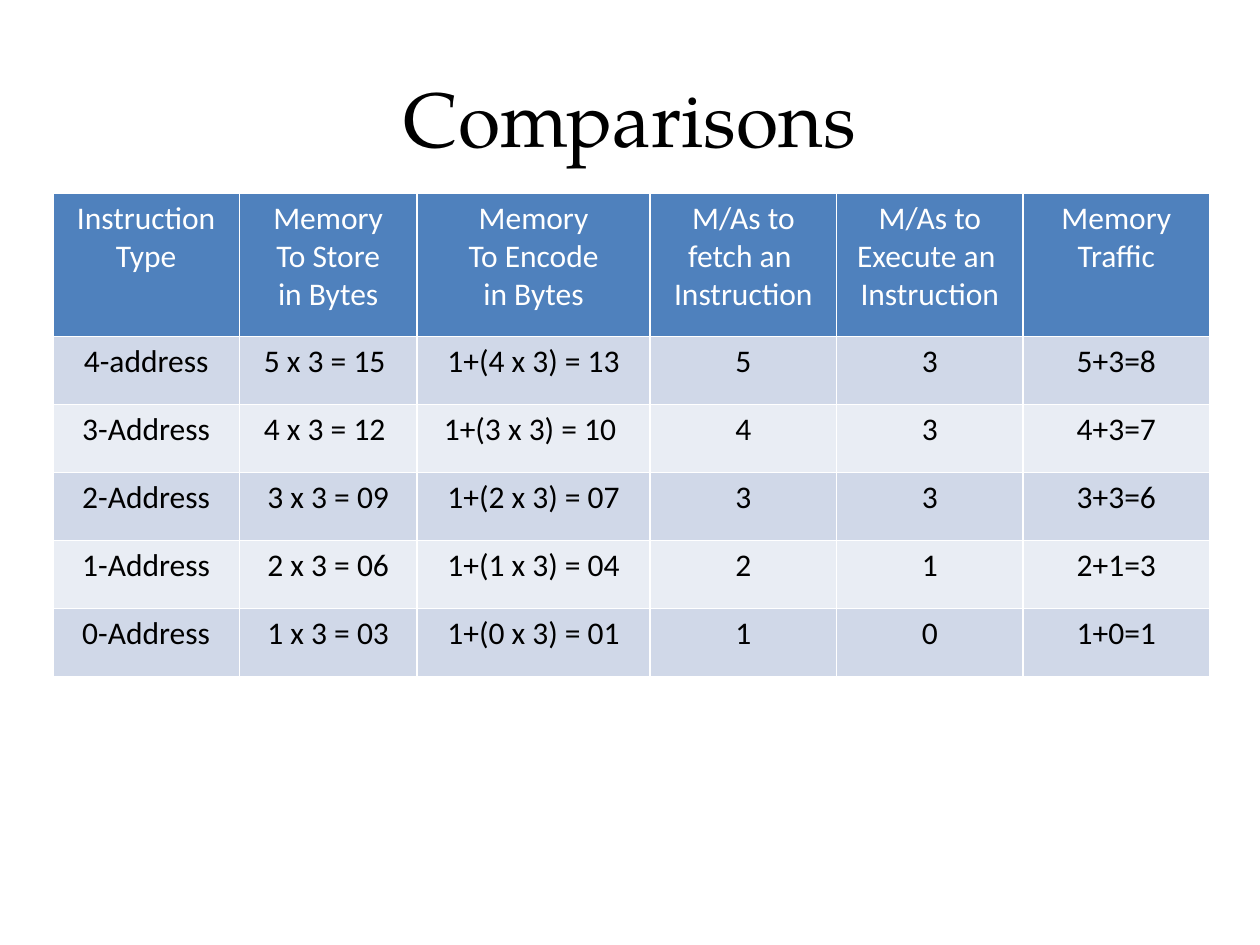
from lxml import etree
from pptx import Presentation
from pptx.dml.color import RGBColor
from pptx.enum.text import MSO_ANCHOR, PP_ALIGN
from pptx.oxml.ns import qn
from pptx.util import Inches, Pt

CENTER = PP_ALIGN.CENTER
MIDDLE = MSO_ANCHOR.MIDDLE

COLORS = {
    "black": "000000",
    "white": "FFFFFF",
    "header": "4F81BD",
    "odd": "D0D8E8",
    "even": "E9EDF4",
}
HEADERS = [
    "Instruction\nType",
    "Memory\nTo Store\nin Bytes",
    "Memory\nTo Encode\nin Bytes",
    "M/As to fetch an \nInstruction",
    "M/As to Execute an \nInstruction",
    "Memory Traffic",
]
ROWS = [
    ["4-address", "5 x 3 = 15 ", "1+(4 x 3) = 13", "5", "3", "5+3=8"],
    ["3-Address", "4 x 3 = 12 ", "1+(3 x 3) = 10 ", "4", "3", "4+3=7"],
    ["2-Address", "3 x 3 = 09", "1+(2 x 3) = 07", "3", "3", "3+3=6"],
    ["1-Address", "2 x 3 = 06", "1+(1 x 3) = 04", "2", "1", "2+1=3"],
    ["0-Address", "1 x 3 = 03", "1+(0 x 3) = 01", "1", "0", "1+0=1"],
]
COL_WIDTHS = [1.48, 1.41, 1.85, 1.48, 1.48, 1.48]
ROW_HEIGHTS = [1.14] + [0.54] * len(ROWS)


def style_text(tf, font, size, color):
    for p in tf.paragraphs:
        p.alignment = CENTER
        p.font.name = font
        p.font.size = Pt(size)
        p.font.bold = False
        p.font.color.rgb = RGBColor.from_string(COLORS[color])


def set_borders(cell, color, width):
    tc_pr = cell._tc.get_or_add_tcPr()
    for side in ("lnL", "lnR", "lnT", "lnB"):
        ln = etree.SubElement(tc_pr, qn(f"a:{side}"), w=str(Pt(width)))
        fill = etree.SubElement(ln, qn("a:solidFill"))
        etree.SubElement(fill, qn("a:srgbClr"), val=COLORS[color])


prs = Presentation()
prs.slide_width = Inches(10)
prs.slide_height = Inches(7.5)
s = prs.slides.add_slide(prs.slide_layouts[6])

# Title
title = s.shapes.add_textbox(Inches(0.5), Inches(0.3), Inches(9), Inches(1.25))
tf = title.text_frame
tf.word_wrap = True
tf.vertical_anchor = MIDDLE
tf.text = "Comparisons"
style_text(tf, "TeX Gyre Pagella", 44, "black")

# Comparison table
table = s.shapes.add_table(
    len(ROW_HEIGHTS), len(COL_WIDTHS), Inches(0.42), Inches(1.53),
    Inches(sum(COL_WIDTHS)), Inches(sum(ROW_HEIGHTS))).table
for column, width in zip(table.columns, COL_WIDTHS):
    column.width = Inches(width)
for row, height in zip(table.rows, ROW_HEIGHTS):
    row.height = Inches(height)

for i, texts in enumerate([HEADERS] + ROWS):
    fill = "header" if i == 0 else "odd" if i % 2 else "even"
    for j, text in enumerate(texts):
        cell = table.cell(i, j)
        cell.text = text
        style_text(cell.text_frame, "Calibri", 18, "black" if i else "white")
        set_borders(cell, "white", 1)
        cell.fill.solid()
        cell.fill.fore_color.rgb = RGBColor.from_string(COLORS[fill])

prs.save("out.pptx")
